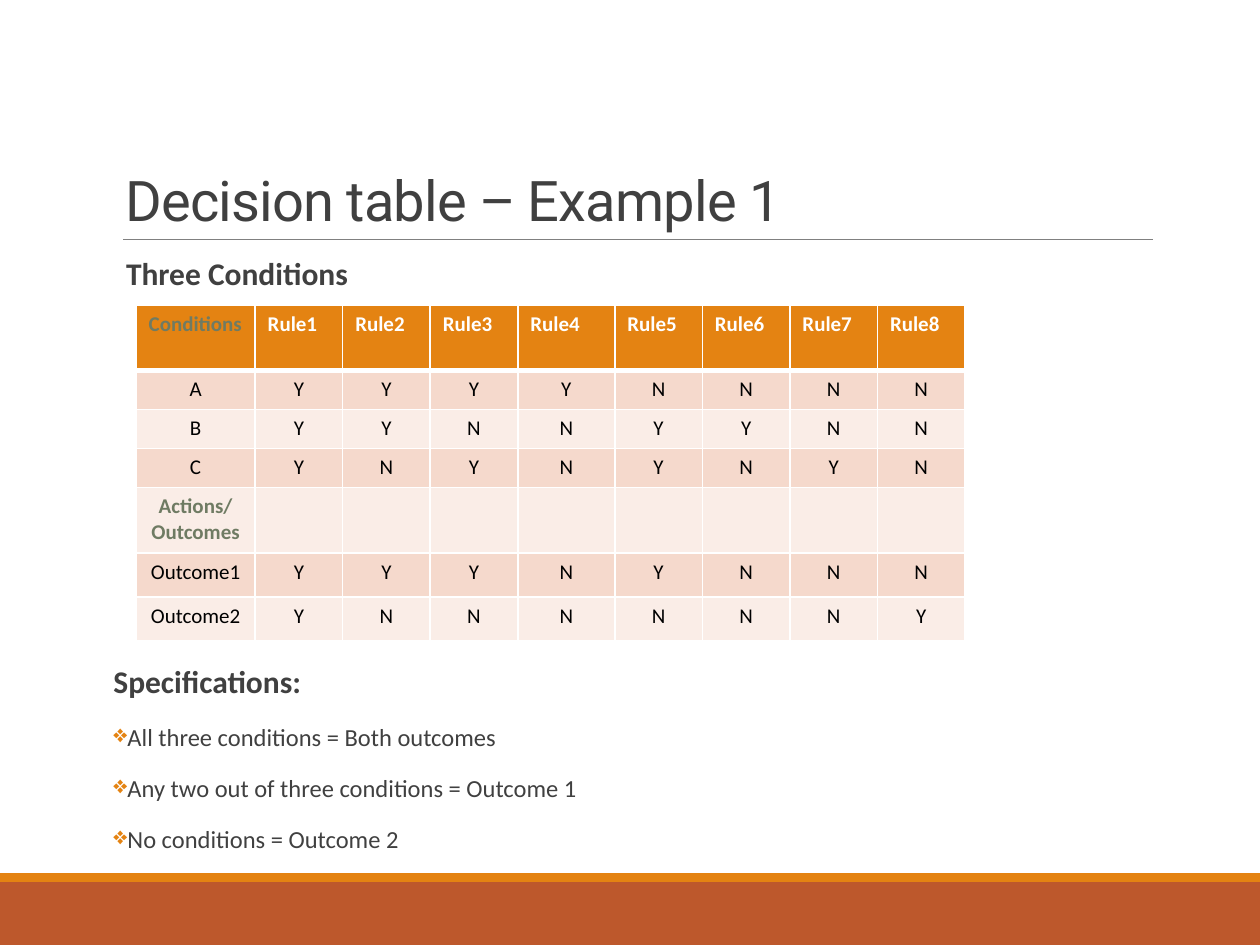
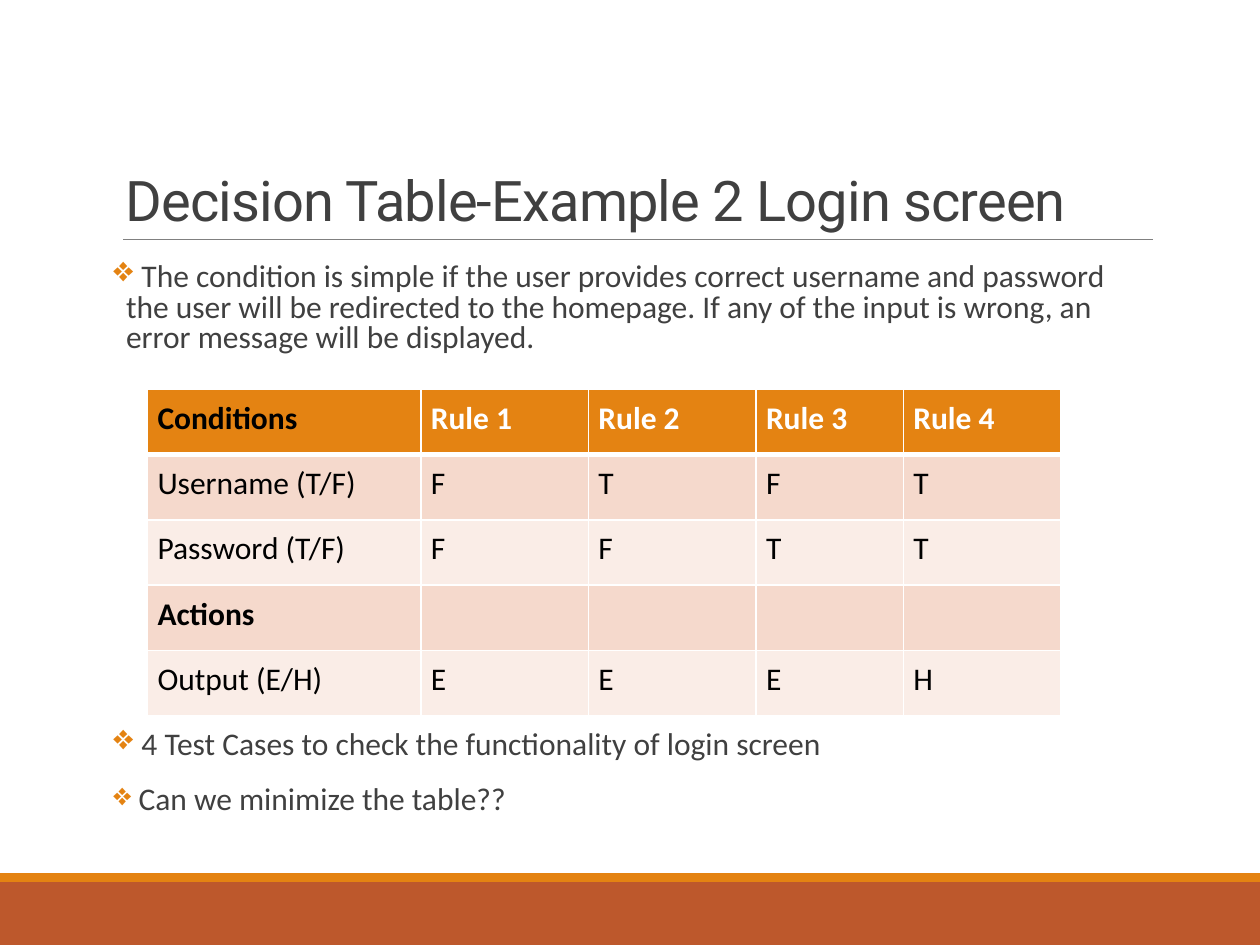
from dataclasses import dataclass

import pptx
import pptx.dml.color
import pptx.enum.shapes
import pptx.enum.text
import pptx.oxml.ns
import pptx.util
from lxml import etree

WIDE, HIGH = 100, 75  # grid columns and rows on a slide
UNIT = pptx.util.Inches(10) // WIDE
HUES = {
    "ink": "404040", "black": "000000", "white": "FFFFFF", "sage": "6F7B63",
    "rust": "BD582C", "gold": "E48312", "rule": "808080",
    "odd": "F5D9CC", "even": "FAEDE7",
}
BODY = "Calibri"
ALIGN = pptx.enum.text.PP_ALIGN
ANCHOR = pptx.enum.text.MSO_ANCHOR


@dataclass(frozen=True)
class Box:
    """Left, top, width and height in grid units."""
    left: float
    top: float
    width: float
    height: float


@dataclass(frozen=True)
class Run:
    text: str
    size: int = 18
    bold: bool = False
    hue: str = "ink"
    face: str = BODY


@dataclass(frozen=True)
class Line:
    runs: tuple[Run, ...]
    mark: bool = False
    inset: float = 0


@dataclass(frozen=True)
class Block:
    box: Box
    lines: tuple[Line, ...]
    lead: float


@dataclass(frozen=True)
class Grid:
    left: float
    top: float
    cols: tuple[float, ...]
    rows: tuple[float, ...]
    cells: tuple[tuple[str, ...], ...]
    size: int
    label: str
    heads: tuple[str, ...]
    align: ALIGN
    pad: tuple[float, float]


@dataclass(frozen=True)
class Page:
    title: str
    blocks: tuple[Block, ...]
    grid: Grid


def span(count: float) -> int:
    """Length of a number of grid units."""
    return round(count * UNIT)


def place(box: Box) -> tuple[int, ...]:
    return tuple(span(n) for n in (box.left, box.top, box.width, box.height))


def tint(name: str) -> pptx.dml.color.RGBColor:
    return pptx.dml.color.RGBColor.from_string(HUES[name])


def apply(item: object, form: dict) -> None:
    for key, value in form.items():
        setattr(item, key, value)


def node(parent, tag: str, **attrs: str):
    return etree.SubElement(parent, pptx.oxml.ns.qn(f"a:{tag}"), attrs)


def write(para, run: Run):
    part = para.add_run()
    part.text = run.text
    apply(part.font, {"name": run.face, "size": pptx.util.Pt(run.size),
                      "bold": run.bold})
    part.font.color.rgb = tint(run.hue)
    return part


def bullet(para) -> None:
    props = para._p.get_or_add_pPr()
    apply_indent(props, 1, -1)
    node(node(props, "buClr"), "srgbClr", val=HUES["gold"])
    node(props, "buChar", char="❖")


def apply_indent(props, left: float, first: float) -> None:
    props.set("marL", str(span(left)))
    props.set("indent", str(span(first)))


def draw_frame(slide) -> None:
    """Draw the footer bands and the rule under the title."""
    for hue, top, height in (("rust", 70, 5), ("gold", 69.3, 0.7)):
        band = slide.shapes.add_shape(
            pptx.enum.shapes.MSO_SHAPE.RECTANGLE,
            *place(Box(0, top, WIDE, height)))
        band.shadow.inherit = False
        band.fill.solid()
        band.fill.fore_color.rgb = tint(hue)
        band.line.fill.background()
    rule = slide.shapes.add_connector(
        pptx.enum.shapes.MSO_CONNECTOR.STRAIGHT,
        span(9.8), span(19), span(91.5), span(19))
    rule.line.color.rgb = tint("rule")
    rule.line.width = pptx.util.Pt(0.5)
    node(rule._element.spPr, "effectLst")


def draw_title(slide, text: str) -> None:
    frame = slide.shapes.add_textbox(
        *place(Box(9, 3.1, 82.5, 15.9))).text_frame
    apply(frame, {"word_wrap": True, "vertical_anchor": ANCHOR.BOTTOM})
    para = frame.paragraphs[0]
    para.line_spacing = 0.85
    part = write(para, Run(text, 32, face="Roboto"))
    part._r.get_or_add_rPr().set("spc", "-50")


def draw_block(slide, block: Block) -> None:
    frame = slide.shapes.add_textbox(*place(block.box)).text_frame
    apply(frame, {"word_wrap": True, "margin_left": 0, "margin_right": 0})
    for index, line in enumerate(block.lines):
        para = frame.add_paragraph() if index else frame.paragraphs[0]
        if line.mark:
            bullet(para)
        else:
            apply_indent(para._p.get_or_add_pPr(), line.inset, 0)
        apply(para, {"line_spacing": block.lead,
                     "space_before": pptx.util.Pt(12 if index else 0),
                     "space_after": pptx.util.Pt(2)})
        for run in line.runs:
            write(para, run)


def edge(cell, row: int) -> None:
    """Give a cell white borders, thick between head and body."""
    thick = {"L": 1, "R": 1, "T": 3 if row == 1 else 1,
             "B": 3 if row == 0 else 1}
    props = cell._tc.get_or_add_tcPr()
    for side, width in thick.items():
        line = node(props, f"ln{side}", w=str(pptx.util.Pt(width)))
        node(node(line, "solidFill"), "srgbClr", val=HUES["white"])


def draw_grid(slide, grid: Grid) -> None:
    box = Box(grid.left, grid.top, sum(grid.cols), sum(grid.rows))
    table = slide.shapes.add_table(
        len(grid.rows), len(grid.cols), *place(box)).table
    for col, width in zip(table.columns, grid.cols):
        col.width = span(width)
    for row, height in zip(table.rows, grid.rows):
        row.height = span(height)
    side, rise = map(span, grid.pad)
    pads = {"margin_left": side, "margin_right": side,
            "margin_top": rise, "margin_bottom": rise}
    for r, texts in enumerate(grid.cells):
        for c in range(len(grid.cols)):
            cell = table.cell(r, c)
            apply(cell, pads)
            edge(cell, r)
            cell.fill.solid()
            cell.fill.fore_color.rgb = tint(
                "gold" if r == 0 else "odd" if r % 2 else "even")
            para = cell.text_frame.paragraphs[0]
            para.font.size = pptx.util.Pt(grid.size)
            if c >= len(texts):
                continue
            para.alignment = grid.align if r else ALIGN.LEFT
            head = texts[c] in grid.heads
            hue = grid.label if head else "black" if r else "white"
            write(para, Run(texts[c], grid.size, head or r == 0, hue))


def point(text: str, size: int = 18, gap: int = 0) -> Line:
    """Bulleted line; gap is the size of a space set before the text."""
    lead = (Run(" ", gap),) if gap else ()
    return Line(lead + (Run(text, size),), mark=True)


RULES = Grid(
    10.8, 24.2, (9.45, *[6.95] * 3, 7.7, *[6.95] * 4),
    (5.2, 3.1, 3.1, 3.1, 5.2, 3.5, 3.5),
    (("Conditions", *(f"Rule{n}" for n in range(1, 9))),
     ("A", *"YYYYNNNN"),
     ("B", *"YYNNYYNN"),
     ("C", *"YNYNYNYN"),
     ("Actions/ Outcomes",),
     ("Outcome1", *"YYYNYNNN"),
     ("Outcome2", *"YNNNNNNY")),
    12, "sage", ("Conditions", "Actions/ Outcomes"), ALIGN.CENTER, (1, 0.5))

LOGIN = Grid(
    11.7, 30.9, (21.7, 13.3, 13.3, 11.7, 12.5), (5.18,) * 5,
    (("Conditions", *(f"Rule {n}" for n in range(1, 5))),
     ("Username (T/F)", *"FTFT"),
     ("Password (T/F)", *"FFTT"),
     ("Actions",),
     ("Output (E/H)", *"EEEH")),
    18, "black", ("Conditions", "Actions"), ALIGN.LEFT, (0.8, 0.8))

PAGES = (
    Page("Decision table – Example 1", (
        Block(Box(9, 20, 82.5, 4),
              (Line((Run("Three Conditions", bold=True),), inset=1),), 0.9),
        Block(Box(9, 52.4, 82.5, 16.5), (
            Line((Run("Specifications:", bold=True),)),
            point("All three conditions = Both outcomes", 14),
            point("Any two out of three conditions = Outcome 1", 14),
            point("No conditions = Outcome 2", 14)), 0.9)), RULES),
    Page("Decision Table-Example 2 Login screen", (
        Block(Box(9, 20.2, 82.5, 9), (
            point("The condition is simple if the user provides correct "
                  "username and password the user will be redirected to the "
                  "homepage. If any of the input is wrong, an error message "
                  "will be displayed.", gap=20),), 0.8),
        Block(Box(9, 57.3, 82.5, 10), (
            point("4 Test Cases to check the functionality of login screen",
                  gap=20),
            point("Can we minimize the table??", gap=18)), 0.8)), LOGIN),
)


def main() -> None:
    deck = pptx.Presentation()
    apply(deck, {"slide_width": span(WIDE), "slide_height": span(HIGH)})
    for page in PAGES:
        slide = deck.slides.add_slide(deck.slide_layouts[6])
        draw_frame(slide)
        draw_title(slide, page.title)
        for block in page.blocks:
            draw_block(slide, block)
        draw_grid(slide, page.grid)
    deck.save("out.pptx")


if __name__ == "__main__":
    main()
